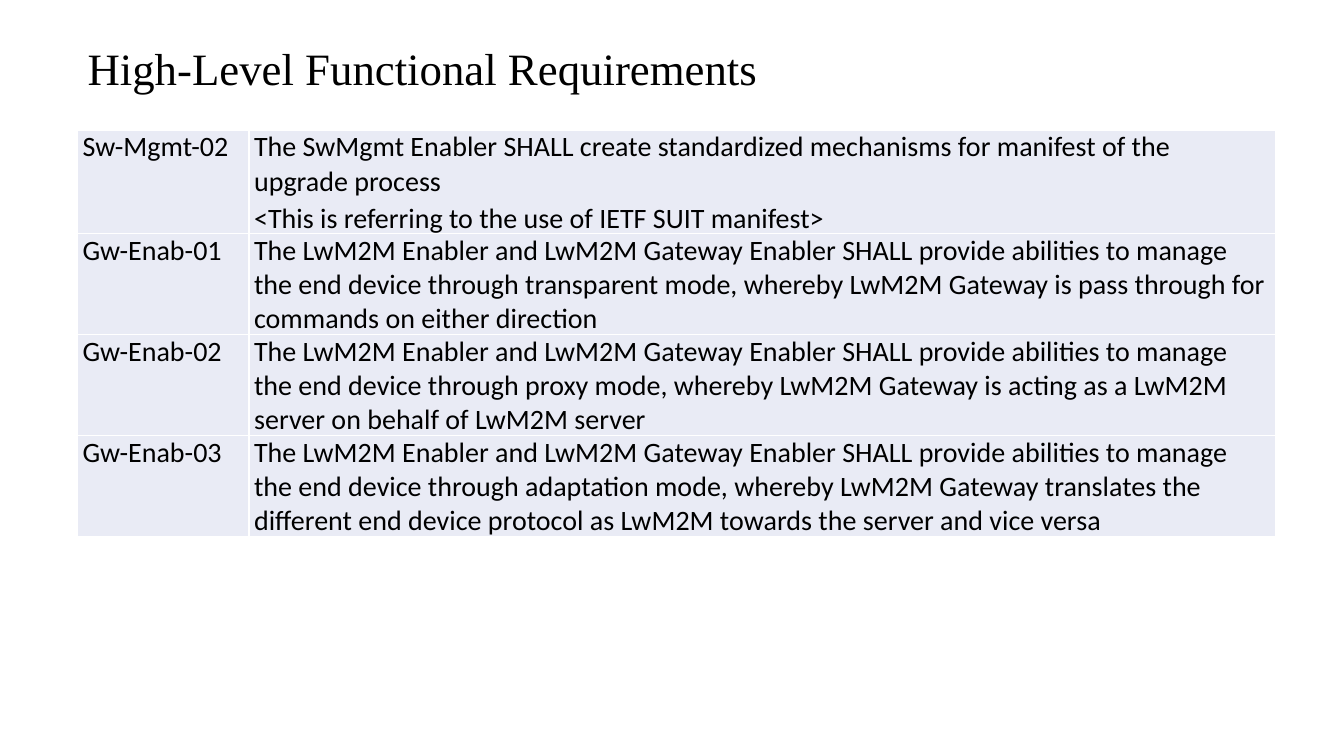
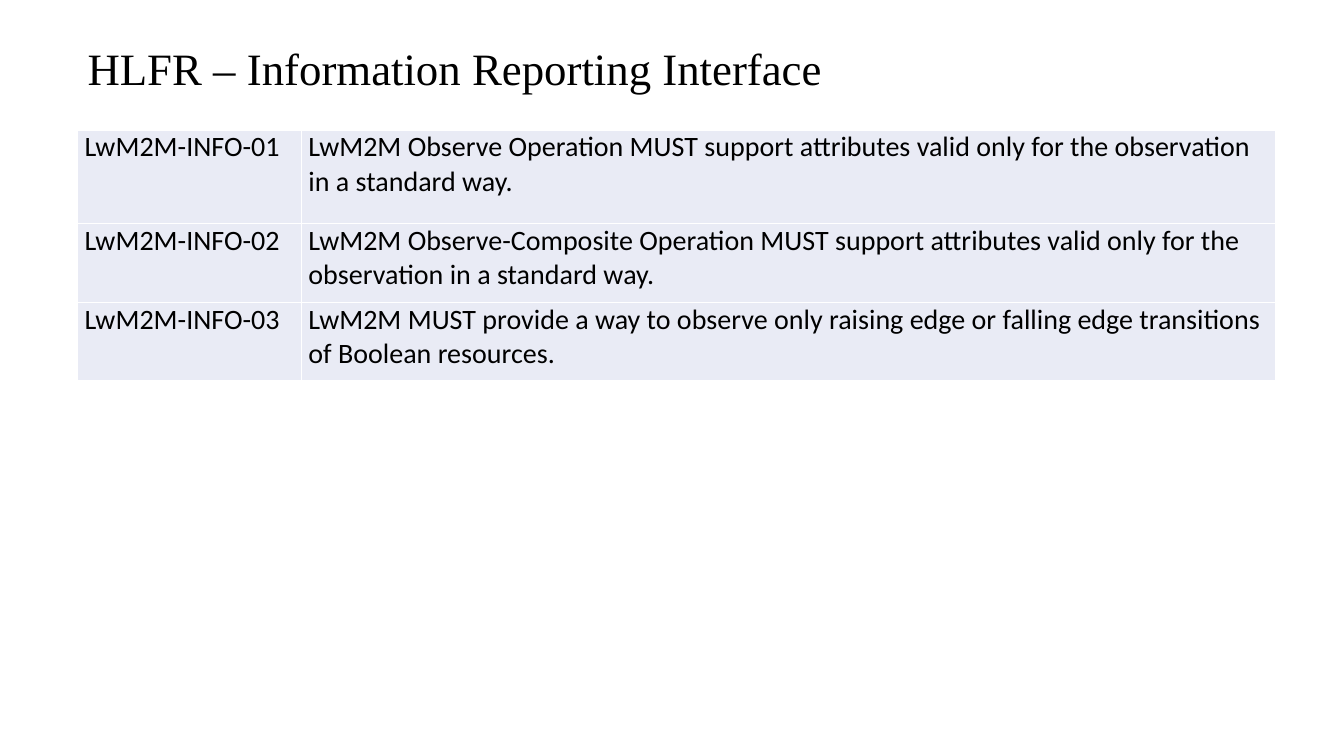
"""Builds two slides of LwM2M functional requirements."""
import dataclasses

import lxml.etree
import pptx
import pptx.dml.color
import pptx.enum.text
import pptx.oxml.ns
import pptx.util

Inches = pptx.util.Inches
Pt = pptx.util.Pt


@dataclasses.dataclass(frozen=True)
class Theme:
    ink: str = "000000"
    cell_fill: str = "E9EBF5"
    border: str = "FFFFFF"
    border_width: int = 1
    title_font: str = "Times New Roman"
    title_size: int = 32
    body_font: str = "Calibri"
    body_size: int = 20
    cell_spacing: int = 1
    left: float = 0.77
    title_top: float = 0.35
    title_width: float = 11.26
    title_height: float = 0.64
    table_top: float = 1.29
    table_width: float = 11.88
    first_row: float = 0.93
    other_row: float = 0.78


class Builder:
    def __init__(self, deck, theme):
        self.deck = deck
        self.theme = theme
        self.page = None

    def add_page(self, title):
        self.page = self.deck.slides.add_slide(self.deck.slide_layouts[6])
        theme = self.theme
        box = self.page.shapes.add_textbox(
            Inches(theme.left), Inches(theme.title_top),
            Inches(theme.title_width), Inches(theme.title_height))
        box.text_frame.word_wrap = True
        box.text_frame.auto_size = pptx.enum.text.MSO_AUTO_SIZE.SHAPE_TO_FIT_TEXT
        para = box.text_frame.paragraphs[0]
        para.text = title
        self.set_font(para, theme.title_font, theme.title_size)

    def set_font(self, para, name, size):
        para.font.name = name
        para.font.size = Pt(size)
        para.font.color.rgb = pptx.dml.color.RGBColor.from_string(self.theme.ink)

    def add_requirements(self, requirements, label_width, margin):
        theme = self.theme
        heights = [theme.first_row] + [theme.other_row] * (len(requirements) - 1)
        frame = self.page.shapes.add_table(
            len(requirements), 2, Inches(theme.left), Inches(theme.table_top),
            Inches(theme.table_width), Inches(sum(heights)))
        table = frame.table
        table.first_row = table.horz_banding = False
        table.columns[0].width = Inches(label_width)
        table.columns[1].width = Inches(theme.table_width - label_width)
        for row, height, texts in zip(table.rows, heights, requirements):
            row.height = Inches(height)
            for cell, text in zip(row.cells, texts):
                self.fill_cell(cell, text, margin)

    def fill_cell(self, cell, text, margin):
        theme = self.theme
        cell.margin_left = cell.margin_right = Inches(margin)
        cell.margin_top = cell.margin_bottom = 0
        cell.fill.solid()
        cell.fill.fore_color.rgb = pptx.dml.color.RGBColor.from_string(theme.cell_fill)
        cell.text = text
        for para in cell.text_frame.paragraphs:
            para.space_before = para.space_after = Pt(theme.cell_spacing)
            self.set_font(para, theme.body_font, theme.body_size)
        self.set_borders(cell)

    def set_borders(self, cell):
        qn = pptx.oxml.ns.qn
        properties = cell._tc.get_or_add_tcPr()
        for position, side in enumerate(("a:lnL", "a:lnR", "a:lnT", "a:lnB")):
            line = lxml.etree.Element(qn(side), w=str(Pt(self.theme.border_width)))
            fill = lxml.etree.SubElement(line, qn("a:solidFill"))
            lxml.etree.SubElement(fill, qn("a:srgbClr"), val=self.theme.border)
            properties.insert(position, line)


GATEWAY = ("The LwM2M Enabler and LwM2M Gateway Enabler SHALL provide abilities "
           "to manage the end device through ")
FUNCTIONAL = [
    ("Sw-Mgmt-02",
     "The SwMgmt Enabler SHALL create standardized mechanisms for manifest of the "
     "upgrade process\n<This is referring to the use of IETF SUIT manifest>"),
    ("Gw-Enab-01",
     GATEWAY + "transparent mode, whereby LwM2M Gateway is pass through for "
     "commands on either direction"),
    ("Gw-Enab-02",
     GATEWAY + "proxy mode, whereby LwM2M Gateway is acting as a LwM2M server "
     "on behalf of LwM2M server"),
    ("Gw-Enab-03",
     GATEWAY + "adaptation mode, whereby LwM2M Gateway translates the different "
     "end device protocol as LwM2M towards the server and vice versa"),
]
REPORTING = [
    ("LwM2M-INFO-01",
     "LwM2M Observe Operation MUST support attributes valid only for the "
     "observation in a standard way."),
    ("LwM2M-INFO-02",
     "LwM2M Observe-Composite Operation MUST support attributes valid only for "
     "the observation in a standard way."),
    ("LwM2M-INFO-03",
     "LwM2M MUST provide a way to observe only raising edge or falling edge "
     "transitions of Boolean resources."),
]

deck = pptx.Presentation()
deck.slide_width = Inches(13.33)
deck.slide_height = Inches(7.5)
builder = Builder(deck, Theme())

builder.add_page("High-Level Functional Requirements")
builder.add_requirements(FUNCTIONAL, label_width=1.7, margin=0.05)

builder.add_page("HLFR – Information Reporting Interface")
builder.add_requirements(REPORTING, label_width=2.22, margin=0.07)

deck.save("out.pptx")
